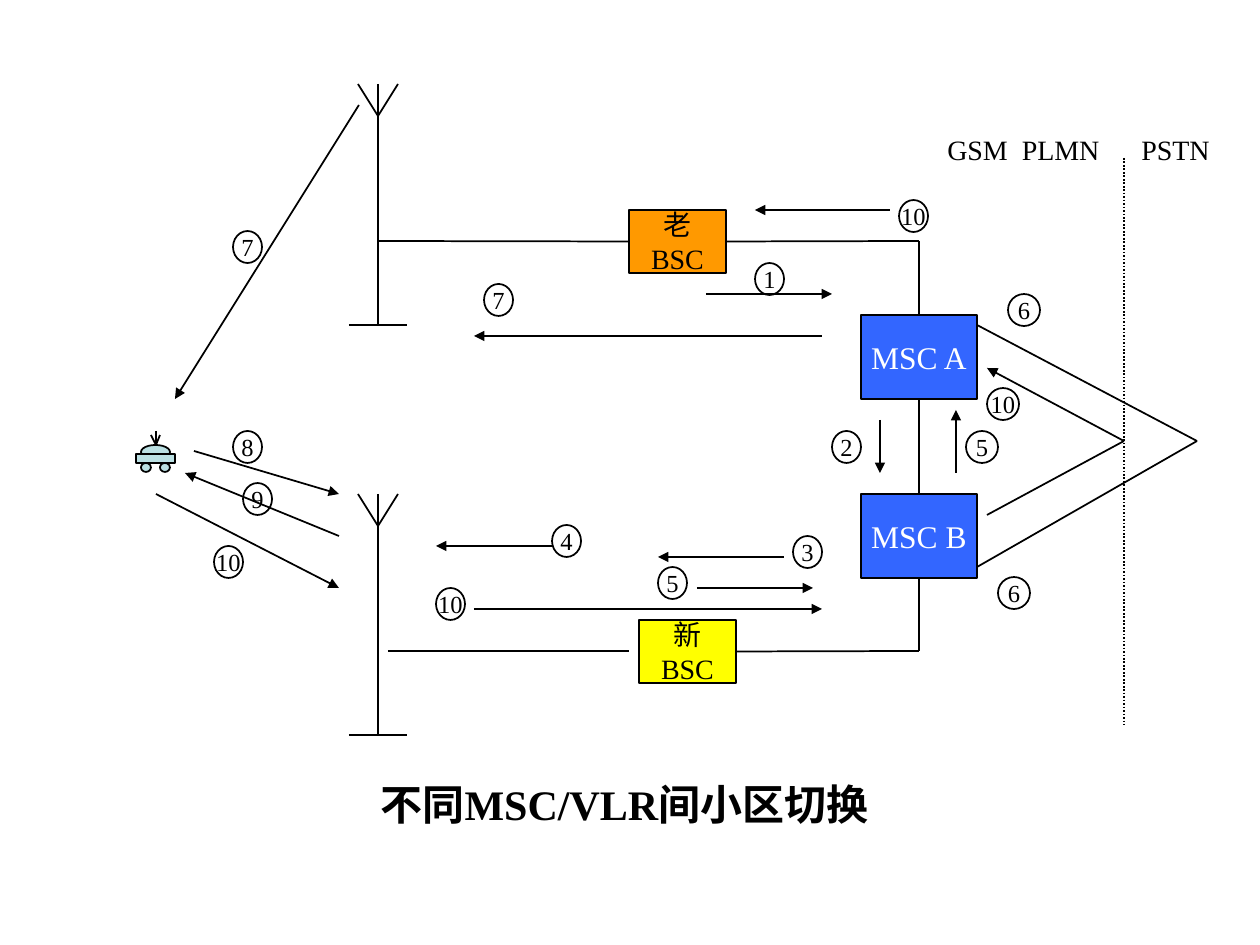
from lxml import etree
from pptx import Presentation
from pptx import util as u
from pptx.dml.color import RGBColor
from pptx.enum import dml, shapes, text
from pptx.oxml.ns import qn

PX = 914400 / 126
FONT = "Times New Roman"
BLACK, WHITE, ORANGE, YELLOW, BLUE, PALE = (
    "000000", "FFFFFF", "FF9900", "FFFF00", "3366FF", "BBE0E3")
RECT, OVAL = shapes.MSO_SHAPE.RECTANGLE, shapes.MSO_SHAPE.OVAL
TOP, LEFT, BOTTOM, RIGHT = range(4)

# Content: positions are px
TITLE = "不同MSC/VLR间小区切换"
NETWORKS = "GSM  PLMN\tPSTN"

NODES = {  # name: (left, top, width, height), fill, text format
    "老\nBSC": ((629, 210, 97, 63), ORANGE, dict(size=16)),
    "新\nBSC": ((639, 620, 97, 63), YELLOW, dict(size=16)),
    "MSC A": ((861, 315, 116, 84), BLUE, dict(size=18, colour=WHITE)),
    "MSC B": ((861, 494, 116, 84), BLUE, dict(size=18, colour=WHITE)),
}

STEPS = [  # number, left, top, width
    ("10", 987, 388, 32), ("5", 966, 431, 32), ("6", 1008, 294, 32), ("6", 998, 577, 32),
    ("1", 755, 263, 29), ("4", 552, 525, 29), ("7", 484, 284, 29), ("2", 832, 431, 29),
    ("3", 793, 536, 29), ("9", 243, 483, 29), ("5", 658, 567, 29), ("7", 233, 231, 29),
    ("10", 436, 588, 29), ("8", 233, 431, 29), ("10", 899, 200, 29), ("10", 214, 546, 29),
]
STEP_HEIGHT = 32

# A link end is a point, or a node with one of its sides
UPPER_CORNER, LOWER_CORNER = (919, 241), (919, 651)
LINKS = [
    ((378, 241), ("老\nBSC", LEFT)),
    (("老\nBSC", RIGHT), UPPER_CORNER),
    (UPPER_CORNER, ("MSC A", TOP)),
    (("MSC A", BOTTOM), ("MSC B", TOP)),
    (("MSC B", BOTTOM), LOWER_CORNER),
    (("新\nBSC", RIGHT), LOWER_CORNER),
    ((388, 651), (629, 651)),
]

MESSAGES = [  # start, arrow tip
    ((706, 294), (832, 294)), ((822, 336), (474, 336)), ((784, 557), (658, 557)),
    ((474, 609), (822, 609)), ((890, 210), (755, 210)), ((552, 546), (436, 546)),
    ((697, 588), (813, 588)), ((359, 105), (175, 399)), ((194, 451), (339, 494)),
    ((339, 536), (185, 473)), ((156, 494), (339, 588)), ((880, 420), (880, 473)),
    ((956, 473), (956, 410)), ((1124, 441), (987, 368)),
]
PSTN_ROUTES = [
    ((977, 325), (1197, 441)), ((1197, 441), (977, 567)), ((1124, 441), (987, 515)),
]
PSTN_BORDER = ((1124, 158), (1124, 725))

MAST_X, MAST_TOPS = 378, (84, 494)
MAST = [  # relative to the top of the mast
    ((0, 0), (0, 241)), ((-20, 0), (0, 32)), ((20, 0), (0, 32)), ((-29, 241), (29, 241)),
]
MOBILE_BODY = [
    (OVAL, (141, 445, 29, 14)), (RECT, (136, 454, 39, 9)),
    (OVAL, (141, 463, 10, 9)), (OVAL, (160, 463, 10, 9)),
]
MOBILE_AERIAL = [((156, 431), (156, 445)), ((151, 435), (156, 445)), ((160, 435), (156, 445))]


def emu(*lengths):
    return [round(length * PX) for length in lengths]


def rgb(colour):
    return RGBColor.from_string(colour)


def write(shape, words, size, colour=BLACK, bold=False,
          align=text.PP_ALIGN.CENTER, anchor=text.MSO_ANCHOR.MIDDLE):
    frame = shape.text_frame
    frame.text = words
    frame.word_wrap = False
    frame.auto_size = text.MSO_AUTO_SIZE.NONE
    frame.vertical_anchor = anchor
    for line in frame.paragraphs:
        line.alignment = align
        font = line.runs[0].font
        font.name, font.size, font.bold = FONT, u.Pt(size), bold
        font.color.rgb = rgb(colour)


def draw_shape(kind, place, fill):
    shape = slide.shapes.add_shape(kind, *emu(*place))
    shape.shadow.inherit = False
    shape.fill.solid()
    shape.fill.fore_color.rgb = rgb(fill)
    shape.line.color.rgb = rgb(BLACK)
    shape.line.width = u.Pt(1)
    return shape


def draw_line(start, end, arrow=False, dotted=False):
    joined = [point[0] in NODES for point in (start, end)]
    ends = [(0, 0) if join else point for join, point in zip(joined, (start, end))]
    line = slide.shapes.add_connector(
        shapes.MSO_CONNECTOR.STRAIGHT, *emu(*ends[0], *ends[1]))
    if joined[0]:
        line.begin_connect(nodes[start[0]], start[1])
    if joined[1]:
        line.end_connect(nodes[end[0]], end[1])
    line.line.color.rgb = rgb(BLACK)
    line.line.width = u.Pt(1)
    if dotted:
        line.line.dash_style = dml.MSO_LINE.ROUND_DOT
    if arrow:
        etree.SubElement(line.line._get_or_add_ln(), qn("a:tailEnd"), type="triangle")
    etree.SubElement(line._element.spPr, qn("a:effectLst"))


deck = Presentation()
deck.slide_width, deck.slide_height = emu(1260, 945)
slide = deck.slides.add_slide(deck.slide_layouts[5])

# Title below the diagram
title = slide.shapes.title
title.left, title.top, title.width, title.height = emu(368, 772, 533, 63)
write(title, TITLE, 24, bold=True, align=text.PP_ALIGN.LEFT, anchor=text.MSO_ANCHOR.TOP)

# Numbered steps
for number, left, top, width in STEPS:
    write(draw_shape(OVAL, (left, top, width, STEP_HEIGHT), WHITE), number, 14)

# Antenna masts
for mast_top in MAST_TOPS:
    for part in MAST:
        draw_line(*[(MAST_X + x, mast_top + y) for x, y in part])

# Mobile station
for kind, place in MOBILE_BODY:
    draw_shape(kind, place, PALE)
for rod in MOBILE_AERIAL:
    draw_line(*rod)

# Network nodes and the links between them
nodes = {}
for name, (place, fill, style) in NODES.items():
    nodes[name] = draw_shape(RECT, place, fill)
    write(nodes[name], name, **style)
for link in LINKS:
    draw_line(*link)

# Messages and routes through the PSTN
for message in MESSAGES:
    draw_line(*message, arrow=True)
for route in PSTN_ROUTES:
    draw_line(*route)
draw_line(*PSTN_BORDER, dotted=True)

# Network names either side of the border, split by a tab stop
networks = slide.shapes.add_textbox(*emu(935, 126, 287, 47))
write(networks, NETWORKS, 16, align=text.PP_ALIGN.LEFT, anchor=text.MSO_ANCHOR.TOP)
tabs = etree.SubElement(networks.text_frame.paragraphs[0]._p.get_or_add_pPr(), qn("a:tabLst"))
etree.SubElement(tabs, qn("a:tab"), pos=str(emu(194)[0]), algn="l")

deck.save("out.pptx")
